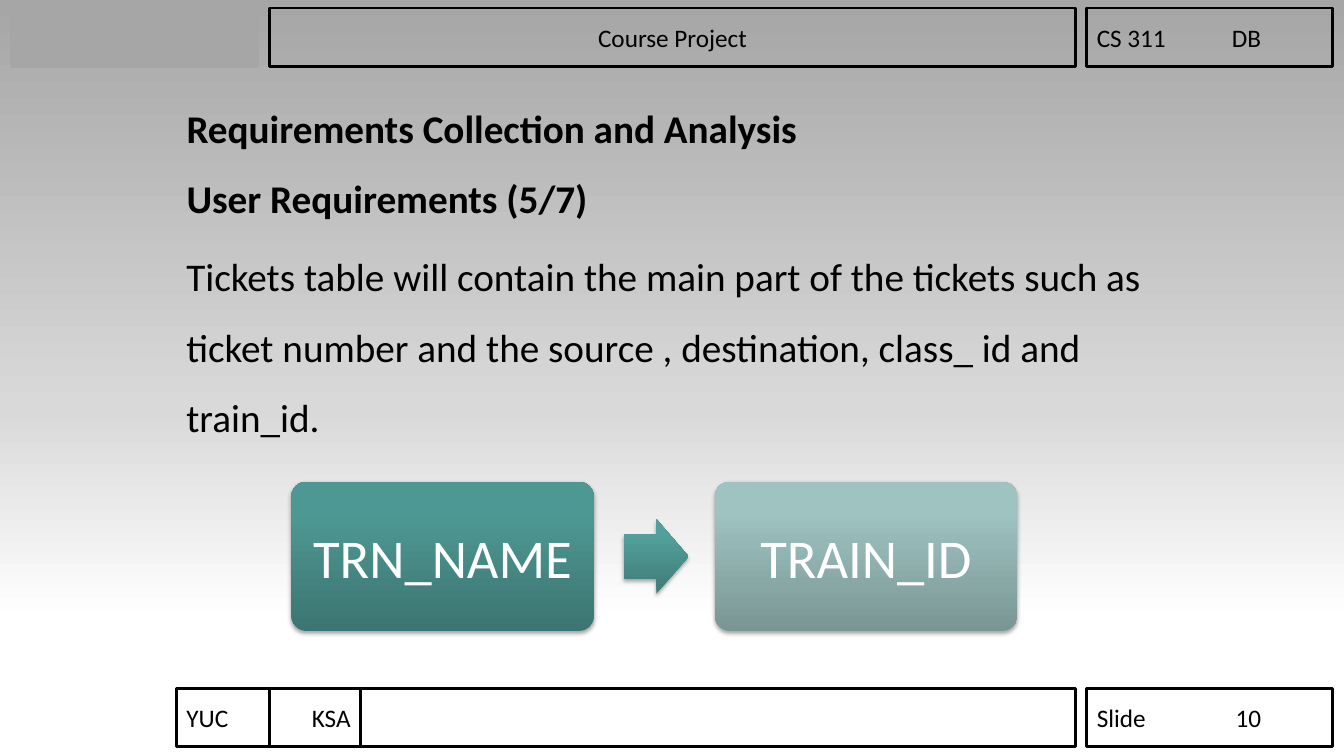
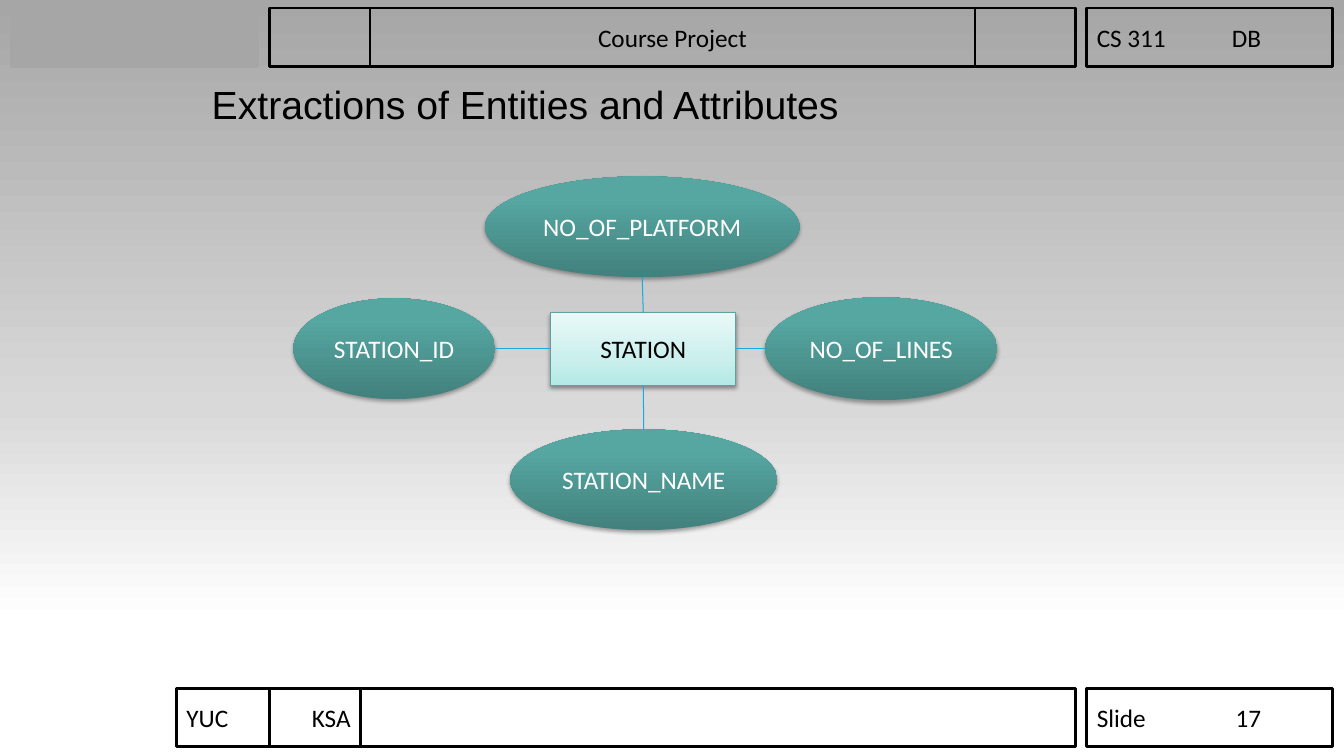
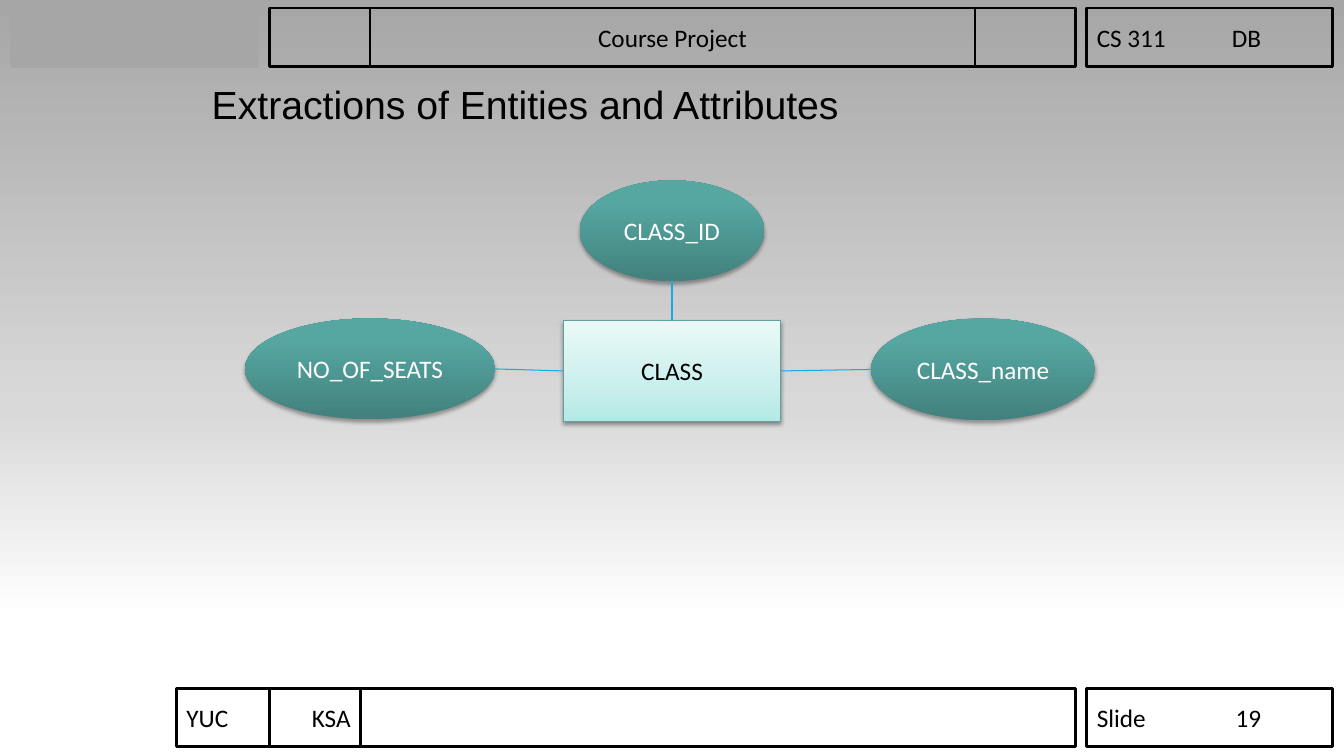
from lxml import etree
from pptx import Presentation
from pptx.dml.color import RGBColor
from pptx.enum.shapes import MSO_CONNECTOR, MSO_SHAPE
from pptx.enum.text import MSO_ANCHOR, MSO_AUTO_SIZE, PP_ALIGN
from pptx.oxml.ns import qn
from pptx.util import Inches, Pt

RECT, ELLIPSE = MSO_SHAPE.RECTANGLE, MSO_SHAPE.OVAL
ROUNDED, ARROW = MSO_SHAPE.ROUNDED_RECTANGLE, MSO_SHAPE.RIGHT_ARROW
STRAIGHT = MSO_CONNECTOR.STRAIGHT
LEFT, CENTER = PP_ALIGN.LEFT, PP_ALIGN.CENTER
TOP, MIDDLE = MSO_ANCHOR.TOP, MSO_ANCHOR.MIDDLE
NO_FIT = MSO_AUTO_SIZE.NONE

BLACK = RGBColor(0x00, 0x00, 0x00)
WHITE = RGBColor(0xFF, 0xFF, 0xFF)
GRAY = RGBColor(0xA6, 0xA6, 0xA6)
SILVER = RGBColor(0xD9, 0xD9, 0xD9)
SKY = RGBColor(0x16, 0xAB, 0xE4)
ENTITY_LINE = RGBColor(0x5E, 0xA1, 0x9D)


def stops(positions, *colors):
    return list(zip(positions, map(RGBColor.from_string, colors)))


BACKGROUND = [(0, GRAY), (54, SILVER), (82, WHITE), (100, WHITE)]
GLOSS = (0, 80, 100)
ATTRIBUTE_FILL = stops(GLOSS, "42817D", "56A7A2", "54AAA4")
ENTITY_FILL = stops((0, 35, 100), "B4E9E5", "CAEFEC", "EAF9F8")
NAME_FILL = stops(GLOSS, "3C7571", "4E9893", "4D9A95")
ARROW_FILL = stops(GLOSS, "3F7B77", "52A09B", "51A29D")
ID_FILL = stops(GLOSS, "7A9694", "9EC3C1", "9FC5C2")

HEADER_TOP, FOOTER_TOP, BAND_HEIGHT = 0.08, 6.83, 0.58
SIDE_BOX, MAIN_BOX = (10.78, 2.44), (2.67, 8)
INNER_BOX, SCHOOL_BOX = (3.67, 6), (1.75, 1.83)

REQUIREMENTS_TITLE = ["Requirements Collection and Analysis", "User Requirements (5/7)"]
REQUIREMENTS_BODY = ("Tickets table will contain the main part of the tickets such as "
                     "ticket number and the source , destination, class_ id and train_id.")
FLOW = [
    (ROUNDED, "TRN_NAME", (4.39 - 1.5, 4.78, 3, 1.48), NAME_FILL, [0.1]),
    (ARROW, "", (6.19, 5.15, 0.64, 0.74), ARROW_FILL, [0.6, 0.5]),
    (ROUNDED, "TRAIN_ID", (7.09, 4.78, 3, 1.48), ID_FILL, [0.1]),
]

ENTITIES_TITLE = ["Extractions of Entities and Attributes"]
DIAGRAMS = [
    (17, ("STATION", (5.46, 3.1, 1.84, 0.72)), [
        ("left", "STATION_ID", (2.91, 2.96, 2, 1)),
        ("bottom", "STATION_NAME", (5.06, 4.26, 2.65, 1)),
        ("top", "NO_OF_PLATFORM", (4.81, 1.75, 3.12, 1)),
        ("right", "NO_OF_LINES", (7.59, 2.95, 2.3, 1.02)),
    ]),
    (19, ("CLASS", (5.59, 3.18, 2.15, 1)), [
        ("left", "NO_OF_SEATS", (2.43, 3.16, 2.48, 1)),
        ("top", "CLASS_ID", (5.75, 1.79, 1.83, 1)),
        ("right", "CLASS_name", (8.64, 3.16, 2.22, 1.01)),
    ]),
]
SIDES = {"left": (0, 0.5), "right": (1, 0.5), "top": (0.5, 0), "bottom": (0.5, 1)}
OPPOSITE = {"left": "right", "right": "left", "top": "bottom", "bottom": "top"}


def set_gradient(owner, fill, colors, angle):
    fill.gradient()
    fill.gradient_angle = angle
    gs_list = next(owner.element.iter(qn("a:gsLst")))
    for gs in list(gs_list):
        gs_list.remove(gs)
    for position, color in colors:
        gs = etree.SubElement(gs_list, qn("a:gs"), pos=str(position * 1000))
        etree.SubElement(gs, qn("a:srgbClr"), val=str(color))


def add_shadow(shape, alpha):
    effects = shape.element.spPr.find(qn("a:effectLst"))
    shadow = etree.SubElement(effects, qn("a:outerShdw"), blurRad=str(Pt(3.1)),
                              dist=str(Pt(1.8)), dir="5400000", rotWithShape="0")
    color = etree.SubElement(shadow, qn("a:srgbClr"), val=str(BLACK))
    etree.SubElement(color, qn("a:alpha"), val=str(alpha * 1000))


def add_tab(p, position):
    tabs = etree.SubElement(p._p.get_or_add_pPr(), qn("a:tabLst"))
    etree.SubElement(tabs, qn("a:tab"), pos=str(Inches(position)), algn="r")


def style(p, size, color=BLACK, align=LEFT, font="Calibri", bold=False):
    p.alignment = align
    p.font.name, p.font.size, p.font.bold = font, Pt(size), bold
    p.font.color.rgb = color


def add_box(s, kind, box, fill=None, line=None, width=2.0, text="", size=18,
            color=BLACK, align=CENTER, shadow=0):
    shape = s.shapes.add_shape(kind, *map(Inches, box))
    shape.shadow.inherit = False
    if isinstance(fill, list):
        set_gradient(shape, shape.fill, fill, 90)
    elif fill is not None:
        shape.fill.solid()
        shape.fill.fore_color.rgb = fill
    else:
        shape.fill.background()
    if line is not None:
        shape.line.color.rgb = line
        shape.line.width = Pt(width)
    else:
        shape.line.fill.background()
    if shadow:
        add_shadow(shape, shadow)
    if text:
        tf = shape.text_frame
        tf.word_wrap = False
        tf.vertical_anchor = MIDDLE
        p = tf.paragraphs[0]
        p.text = text
        if "\t" in text:
            add_tab(p, 1.63)
        style(p, size, color, align)
    return shape


def add_band_box(s, span, top, text="", align=LEFT):
    add_box(s, RECT, (span[0], top, span[1], BAND_HEIGHT), line=BLACK, text=text, align=align)


def add_frame(s, number, divided):
    add_band_box(s, SIDE_BOX, HEADER_TOP, "CS 311\tDB")
    add_band_box(s, MAIN_BOX, HEADER_TOP, "Course Project", CENTER)
    if divided:
        add_band_box(s, INNER_BOX, HEADER_TOP)
    add_band_box(s, SIDE_BOX, FOOTER_TOP, f"Slide\t{number}")
    add_band_box(s, MAIN_BOX, FOOTER_TOP)
    add_band_box(s, SCHOOL_BOX, FOOTER_TOP, "YUC\tKSA")
    add_box(s, RECT, (0.11, HEADER_TOP, 2.45, BAND_HEIGHT), GRAY, GRAY)
    add_box(s, RECT, (3.69, 6.94, 6.88, 0.4), WHITE, WHITE)


def fill_text(shape, lines, spacing=1.0, **look):
    tf = shape.text_frame
    tf.word_wrap = True
    tf.auto_size = NO_FIT
    tf.vertical_anchor = TOP
    for i, line in enumerate(lines):
        p = tf.add_paragraph() if i else tf.paragraphs[0]
        p.text = line
        p.line_spacing = spacing
        p.space_before = Pt(0)
        style(p, 28, **look)


def add_slide(prs, number, title, box, divided=True, **look):
    s = prs.slides.add_slide(prs.slide_layouts[5])
    shape = s.shapes.title
    shape.left, shape.top, shape.width, shape.height = map(Inches, box)
    fill_text(shape, title, **look)
    add_frame(s, number, divided)
    return s


def side_point(shape, side):
    fx, fy = SIDES[side]
    return int(shape.left + fx * shape.width), int(shape.top + fy * shape.height)


def link(s, entity, attribute, side):
    line = s.shapes.add_connector(STRAIGHT, *side_point(entity, side),
                                  *side_point(attribute, OPPOSITE[side]))
    line.line.color.rgb = SKY
    line.line.width = Pt(0.75)
    etree.SubElement(line.element.spPr, qn("a:effectLst"))


def add_requirements(prs):
    s = add_slide(prs, 10, REQUIREMENTS_TITLE, (1.75, 0.75, 9.83, 1.47),
                  divided=False, spacing=1.5, bold=True)
    body = s.shapes.add_textbox(*map(Inches, (1.75, 2.22, 9.83, 2.3)))
    fill_text(body, [REQUIREMENTS_BODY], spacing=1.5)
    for kind, text, box, fill, adjustments in FLOW:
        shape = add_box(s, kind, box, fill, text=text, size=39, color=WHITE, shadow=35)
        for i, value in enumerate(adjustments):
            shape.adjustments[i] = value


def add_diagram(prs, number, entity, attributes):
    s = add_slide(prs, number, ENTITIES_TITLE, (2, 0.75, 9.33, 0.75), font="Arial")
    name, box = entity
    center = add_box(s, RECT, box, ENTITY_FILL, ENTITY_LINE, 0.75, name, shadow=38)
    for side, text, box in attributes:
        attribute = add_box(s, ELLIPSE, box, ATTRIBUTE_FILL, text=text, color=WHITE, shadow=35)
        link(s, center, attribute, side)


def main():
    prs = Presentation()
    prs.slide_width, prs.slide_height = Inches(13.33), Inches(7.5)
    master = prs.slide_master
    set_gradient(master, master.background.fill, BACKGROUND, 270)
    add_requirements(prs)
    for diagram in DIAGRAMS:
        add_diagram(prs, *diagram)
    prs.save("out.pptx")


if __name__ == "__main__":
    main()
